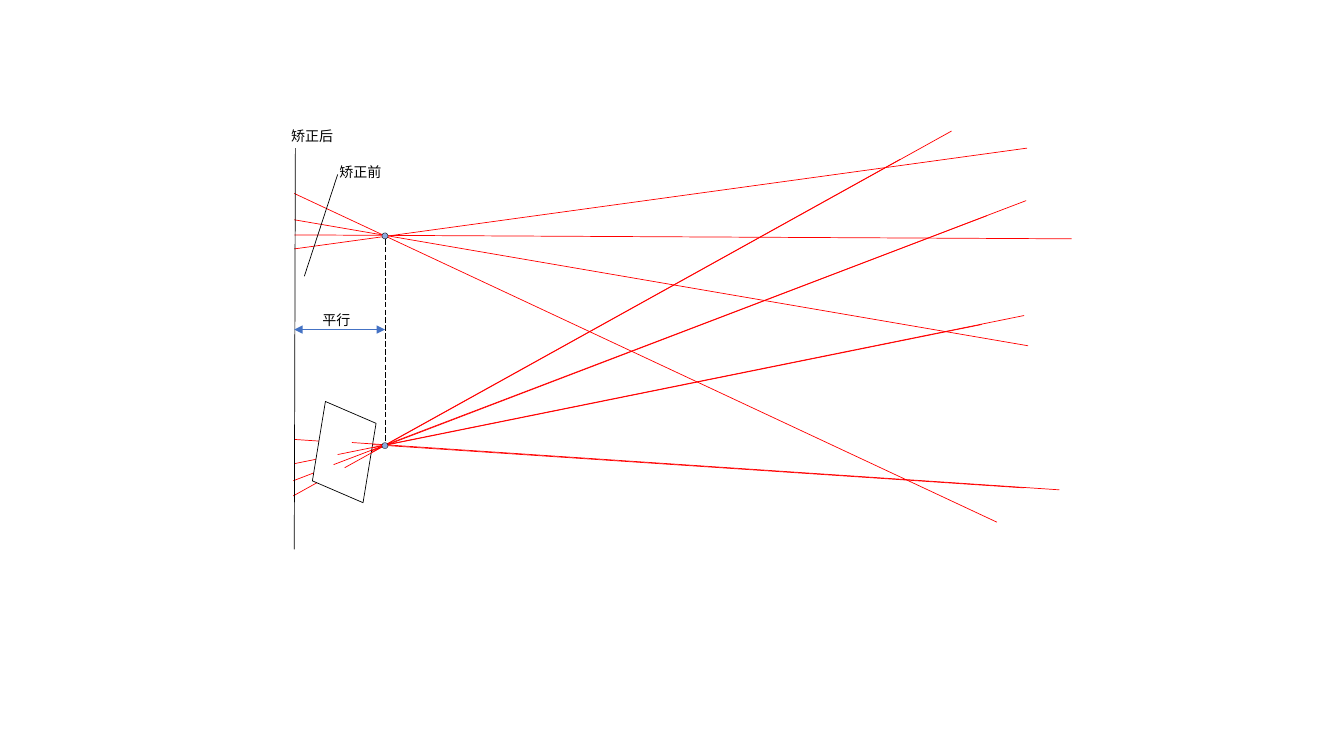
from pptx import Presentation
from pptx.dml.color import RGBColor
from pptx.enum.dml import MSO_LINE
from pptx.enum.shapes import MSO_CONNECTOR, MSO_SHAPE
from pptx.enum.text import MSO_AUTO_SIZE
from pptx.oxml.ns import qn
from pptx.util import Pt
from lxml.etree import SubElement

BLACK = RGBColor(0x00, 0x00, 0x00)
WHITE = RGBColor(0xFF, 0xFF, 0xFF)
RAY_RED = RGBColor(0xFF, 0x00, 0x00)
ARROW_BLUE = RGBColor(0x44, 0x72, 0xC4)
CENTRE_BLUE = RGBColor(0x8F, 0xAA, 0xDC)
FONT = "Noto Sans CJK SC"

PLANE_X, BASELINE_X = 210.2, 275
UPPER_Y, LOWER_Y = 168.5, 318.3
CENTRE_SIZE = 4.3


def add_line(start, end, color):
    """Draw a thin straight line between two points and return it."""
    line = page.shapes.add_connector(
        MSO_CONNECTOR.STRAIGHT, *(Pt(value) for value in start + end))
    line.line.color.rgb = color
    line.line.width = Pt(0.5)
    SubElement(line._element.spPr, qn("a:effectLst"))
    return line


def add_outlined(kind, left, top, width, height, rotation, fill, weight):
    """Draw a rotated, filled shape with a black outline."""
    shape = page.shapes.add_shape(kind, Pt(left), Pt(top), Pt(width), Pt(height))
    shape.rotation = rotation
    shape.shadow.inherit = False
    shape.fill.solid()
    shape.fill.fore_color.rgb = fill
    shape.line.color.rgb = BLACK
    shape.line.width = Pt(weight)


deck = Presentation()
deck.slide_width, deck.slide_height = Pt(960), Pt(540)
page = deck.slides.add_slide(deck.slide_layouts[6])

# Lower camera: rays reaching the rectified plane, partly hidden by the old one
for start, end in [
    ((643, 113.8), (209.5, 354.2)),
    ((704.9, 154.1), (209.5, 343.4)),
    ((701.3, 231.8), (PLANE_X, 331.2)),
    ((731.5, 348.5), (PLANE_X, 313.9)),
]:
    add_line(start, end, RAY_RED)

# Image plane before rectification
add_outlined(MSO_SHAPE.PARALLELOGRAM, 212.4, 303.8, 67, 38.2, 279.3, WHITE, 0.5)

# Upper camera: rays and optical centre
for start, plane_y in [
    ((733.7, 105.8), 177.8),
    ((712.1, 373), 138.2),
    ((734.4, 247), 157),
    ((765.4, 170.6), 167.8),
]:
    add_line(start, (PLANE_X, plane_y), RAY_RED)
centre_left = BASELINE_X - CENTRE_SIZE / 2
add_outlined(MSO_SHAPE.OVAL, centre_left, UPPER_Y - CENTRE_SIZE / 2,
             CENTRE_SIZE, CENTRE_SIZE, 4.5, CENTRE_BLUE, 0.25)

# Leader from the "before" label
add_line((241.2, 124.6), (217.4, 197.3), BLACK)

# Lower camera: rays ending on the unrectified plane, and optical centre
for start, end in [
    ((679.7, 93.6), (246.2, 334.1)),
    ((756.7, 349.9), (251.3, 316.1)),
    ((731.5, 225.4), (241.2, 324.7)),
    ((733, 143.3), (238.3, 331.9)),
]:
    add_line(start, end, RAY_RED)
add_outlined(MSO_SHAPE.OVAL, centre_left, LOWER_Y - CENTRE_SIZE / 2,
             CENTRE_SIZE, CENTRE_SIZE, 343.3, CENTRE_BLUE, 0.25)

# Rectified plane and the baseline between the optical centres
add_line((211, 105.8), (PLANE_X, 392.4), BLACK)
baseline = add_line((BASELINE_X, 170.6), (BASELINE_X, 316.1), BLACK)
baseline.line.dash_style = MSO_LINE.LONG_DASH

# Labels
for text, left, top, width in [
    ("平行", 223.2, 218.9, 34.6),
    ("矫正前", 235.4, 113, 44.6),
    ("矫正后", 200.9, 87.8, 44.6),
]:
    box = page.shapes.add_textbox(Pt(left), Pt(top), Pt(width), Pt(19.4))
    box.text_frame.word_wrap = False
    box.text_frame.auto_size = MSO_AUTO_SIZE.SHAPE_TO_FIT_TEXT
    span = box.text_frame.paragraphs[0].add_run()
    span.text = text
    span.font.size = Pt(10)
    span.font.color.rgb = BLACK
    span.font.name = FONT
    SubElement(span.font._element, qn("a:ea")).set("typeface", FONT)

# Double arrow marking that plane and baseline are parallel
parallel = add_line((PLANE_X, 235.4), (BASELINE_X, 235.4), ARROW_BLUE)
for end_tag in ("a:headEnd", "a:tailEnd"):
    SubElement(parallel.line._get_or_add_ln(), qn(end_tag)).set("type", "triangle")

deck.save("out.pptx")
